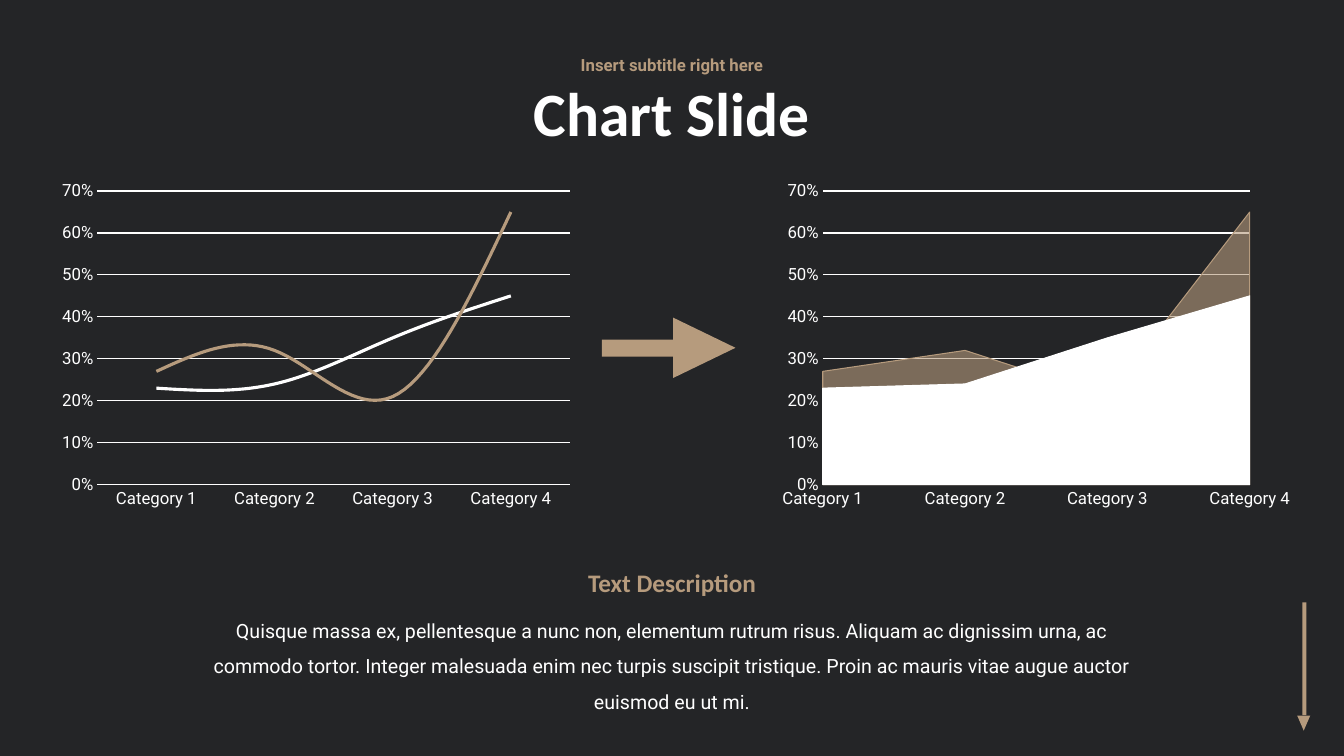
from dataclasses import dataclass

from lxml.etree import SubElement
from pptx import Presentation
from pptx.chart.data import CategoryChartData as Data
from pptx.dml.color import RGBColor as Rgb
from pptx.enum.chart import XL_CHART_TYPE as Kind, XL_TICK_MARK as Tick
from pptx.enum.shapes import MSO_SHAPE as Form
from pptx.enum.text import MSO_ANCHOR as Anchor, MSO_AUTO_SIZE as Fit, PP_ALIGN as Align
from pptx.oxml.ns import qn
from pptx.util import Cm, Pt


@dataclass(frozen=True)
class Theme:
    back: Rgb = Rgb(0x24, 0x25, 0x27)
    white: Rgb = Rgb(0xFF, 0xFF, 0xFF)
    tan: Rgb = Rgb(0xB6, 0x9B, 0x7D)
    head: str = "Calibri"
    body: str = "Roboto"
    title: int = 44
    sub: int = 18
    text: int = 14
    small: int = 12
    thin: float = 0.75
    thick: float = 2.25


def write(frame, text, font, size, color, bold=False, lines=1.0,
          anchor=Anchor.TOP, fit=Fit.NONE):
    frame.word_wrap = True
    frame.auto_size = fit
    frame.vertical_anchor = anchor
    frame.text = text
    para = frame.paragraphs[0]
    para.alignment = Align.CENTER
    para.line_spacing = lines
    para.space_before = Pt(0)
    face = para.runs[0].font
    face.name, face.size, face.bold = font, Pt(size), bold
    face.color.rgb = color


def fade(fill, percent):
    """Make a solid fill show at the given opacity."""
    solid = fill._xPr.find(qn("a:solidFill"))
    SubElement(solid[0], qn("a:alpha")).set("val", str(percent * 1000))


class Page:
    def __init__(self, deck, theme):
        self.theme = theme
        self.slide = deck.slides.add_slide(deck.slide_layouts[0])
        fill = self.slide.background.fill
        fill.solid()
        fill.fore_color.rgb = theme.back

    def holder(self, index, box, text, **style):
        spot = self.slide.placeholders[index]
        spot.left, spot.top, spot.width, spot.height = map(Cm, box)
        write(spot.text_frame, text, bold=True, lines=0.9, anchor=Anchor.MIDDLE, **style)

    def label(self, box, text, **style):
        area = self.slide.shapes.add_textbox(*map(Cm, box))
        write(area.text_frame, text, fit=Fit.SHAPE_TO_FIT_TEXT, **style)

    def arrow(self, shaft, tip, turn, spin):
        """Group a bar and a triangle, each a box with its own rotation."""
        group = self.slide.shapes.add_group_shape()
        for form, box, angle in ((Form.RECTANGLE, shaft, turn),
                                 (Form.ISOSCELES_TRIANGLE, tip, spin)):
            part = group.shapes.add_shape(form, *map(Cm, box))
            part.rotation = angle
            part.shadow.inherit = False
            part.fill.solid()
            part.fill.fore_color.rgb = self.theme.tan
            part.line.fill.background()

    def chart(self, kind, left, data):
        look = self.theme
        chart = self.slide.shapes.add_chart(
            kind, Cm(left), Cm(4.39), Cm(13.33), Cm(8.6), data).chart
        chart.has_legend = chart.has_title = False
        chart.font.name, chart.font.size = look.body, Pt(look.small)
        chart.font.color.rgb = look.white
        for axis in (chart.category_axis, chart.value_axis):
            axis.major_tick_mark = axis.minor_tick_mark = Tick.NONE
        rows = chart.value_axis
        rows.minimum_scale, rows.maximum_scale, rows.major_unit = 0, 0.7, 0.1
        rows.tick_labels.number_format = "0%"
        rows.tick_labels.number_format_is_linked = False
        rows.has_major_gridlines = True
        rows.format.line.fill.background()
        chart.category_axis.has_major_gridlines = False
        for line in (rows.major_gridlines.format.line,
                     chart.category_axis.format.line):
            line.color.rgb, line.width = look.white, Pt(look.thin)
        chart.plots[0].vary_by_categories = False
        return chart.plots[0].series

    def curves(self, left, data):
        look = self.theme
        for item, color in zip(self.chart(Kind.LINE, left, data), (look.white, look.tan)):
            item.smooth = True
            line = item.format.line
            line.color.rgb, line.width = color, Pt(look.thick)

    def areas(self, left, data):
        look = self.theme
        pairs = zip(self.chart(Kind.AREA, left, data), (look.white, look.tan), (100, 60))
        for item, color, shown in pairs:
            fill, line = item.format.fill, item.format.line
            fill.solid()
            fill.fore_color.rgb = color
            if shown < 100:
                fade(fill, shown)
            line.color.rgb, line.width = color, Pt(look.thin)


def main():
    deck = Presentation()
    deck.slide_width, deck.slide_height = Cm(33.87), Cm(19.05)
    look = Theme()
    page = Page(deck, look)

    data = Data(number_format="0%")
    data.categories = [f"Category {n}" for n in range(1, 5)]
    data.add_series("Series 1", (0.23, 0.24, 0.35, 0.45))
    data.add_series("Series 2", (0.27, 0.32, 0.21, 0.65))

    page.arrow((31.45, 16.55, 2.84, 0.1), (32.69, 18.03, 0.33, 0.38), 90, 180)
    page.holder(0, (7.41, 1.63, 19.05, 2.62), "Chart Slide",
                font=look.head, size=look.title, color=look.white)
    page.holder(1, (7.41, 1.19, 19.05, 0.97), "Insert subtitle right here",
                font=look.body, size=look.small, color=look.tan)
    page.curves(1.3, data)
    page.arrow((15.17, 8.56, 1.8, 0.43), (16.99, 7.98, 1.52, 1.57), 0, 90)
    page.areas(19.45, data)
    page.label((4.87, 15.18, 24.13, 1.96),
               "Quisque massa ex, pellentesque a nunc non, elementum rutrum risus. "
               "Aliquam ac dignissim urna, ac commodo tortor. Integer malesuada enim "
               "nec turpis suscipit tristique. Proin ac mauris vitae augue auctor "
               "euismod eu ut mi.",
               font=look.body, size=look.text, color=look.white, lines=1.5)
    page.label((13.23, 14.17, 7.42, 1.02), "Text Description",
               font=look.head, size=look.sub, color=look.tan, bold=True)
    deck.save("out.pptx")


if __name__ == "__main__":
    main()
